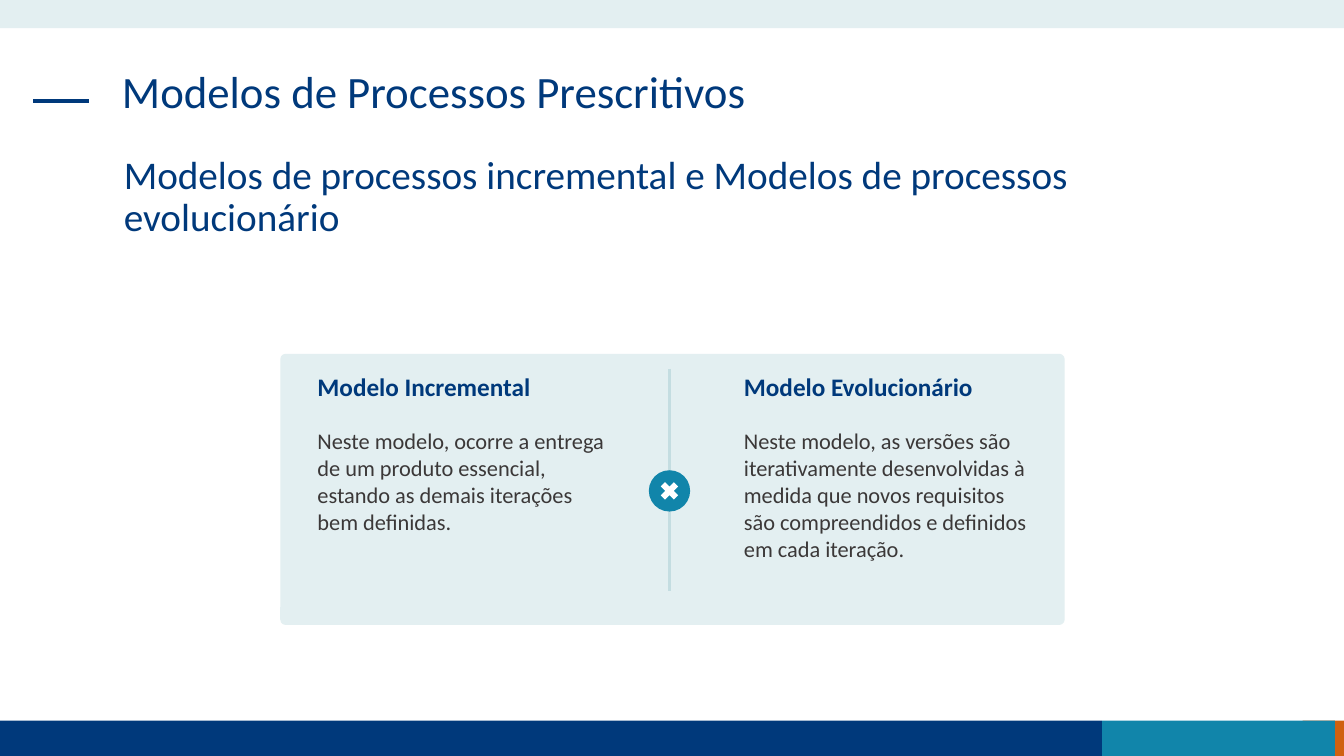
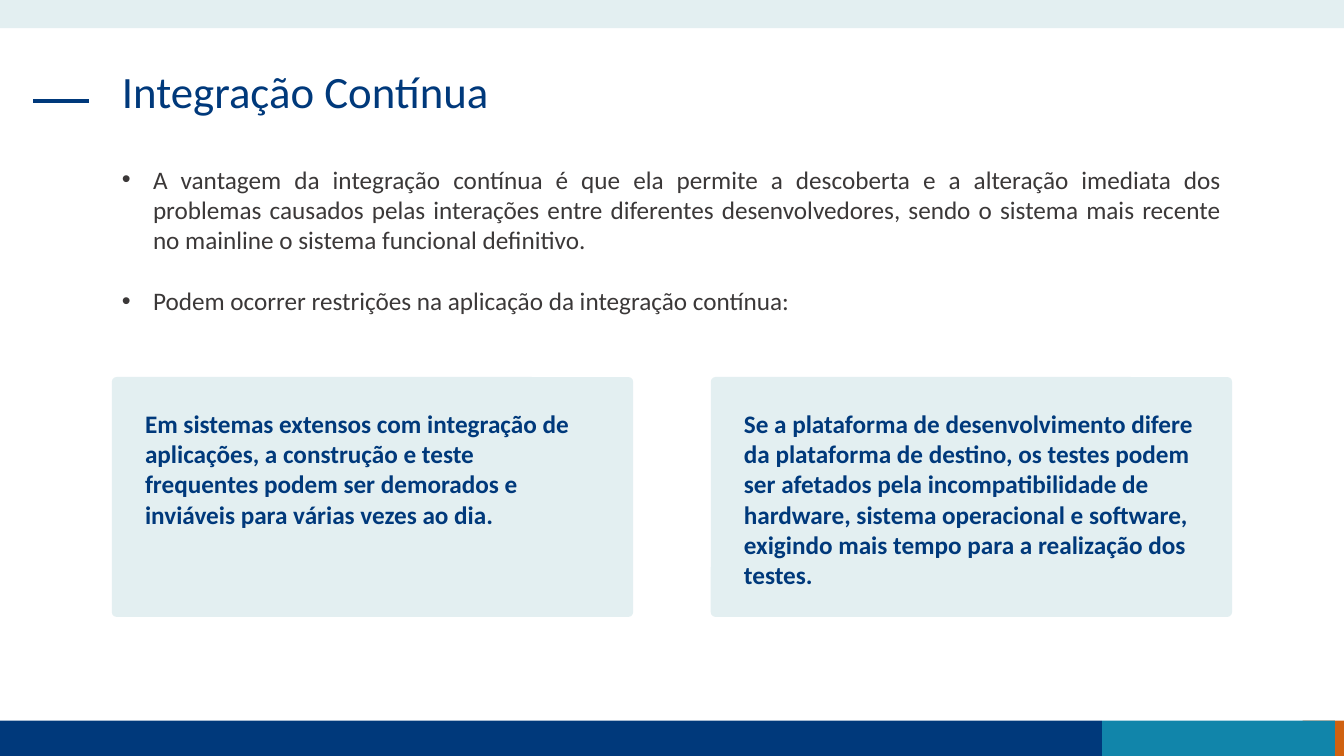
"""Build two slides on software process models and continuous integration."""
from typing import NamedTuple

from lxml import etree
from pptx import Presentation
from pptx.dml.color import RGBColor
from pptx.enum import shapes, text
from pptx.oxml import ns
from pptx.util import Inches, Pt

FONT = "Calibri"
NAVY, TEAL, ORANGE = "00397B", "1185AA", "D06110"
PALE, RULE, INK, WHITE = "E3EFF1", "C4DDE1", "3B3838", "FFFFFF"
SHAPE = shapes.MSO_SHAPE


class Box(NamedTuple):
    """Position and size in inches."""
    left: float
    top: float
    width: float
    height: float

    def lengths(self):
        """Return the four values as lengths."""
        return [Inches(v) for v in self]


class Style(NamedTuple):
    """Look of a paragraph."""
    size: float
    color: str
    bold: bool = False
    spacing: float = 1.0


class Card(NamedTuple):
    """Text of a card and the left edge of its column."""
    left: float
    width: float
    body: str
    heading: str = ""


TITLE = Style(32, NAVY, spacing=0.9)
SUBTITLE = Style(28, NAVY, spacing=0.9)
HEADING = Style(18, NAVY, bold=True)
BODY = Style(16, INK)
BULLET = Style(18, INK)

BANDS = [
    (Box(12.92, 7.15, 0.41, 0.35), ORANGE),
    (Box(0, 7.15, 10.93, 0.35), NAVY),
    (Box(10.93, 7.15, 2.31, 0.35), TEAL),
    (Box(0, 0, 13.33, 0.28), PALE),
]
MODELS = [
    Card(3.05, 3.12, "Neste modelo, ocorre a entrega de um produto essencial, estando "
         "as demais iterações bem definidas.", "Modelo Incremental"),
    Card(7.28, 3.12, "Neste modelo, as versões são iterativamente desenvolvidas à medida "
         "que novos requisitos são compreendidos e definidos em cada iteração.",
         "Modelo Evolucionário"),
]
BULLETS = [
    "A vantagem da integração contínua é que ela permite a descoberta e a alteração "
    "imediata dos problemas causados pelas interações entre diferentes desenvolvedores, "
    "sendo o sistema mais recente no mainline o sistema funcional definitivo.",
    "Podem ocorrer restrições na aplicação da integração contínua:",
]
RESTRICTIONS = [
    Card(1.11, 4.57, "Em sistemas extensos com integração de aplicações, a construção e "
         "teste frequentes podem ser demorados e inviáveis para várias vezes ao dia."),
    Card(7.05, 4.71, "Se a plataforma de desenvolvimento difere da plataforma de destino, "
         "os testes podem ser afetados pela incompatibilidade de hardware, sistema "
         "operacional e software, exigindo mais tempo para a realização dos testes."),
]


def rgb(color: str) -> RGBColor:
    """Turn a hex string into a colour."""
    return RGBColor.from_string(color)


def add_shape(s, kind, box: Box, color: str):
    """Draw a flat preset shape without outline."""
    sp = s.shapes.add_shape(kind, *box.lengths())
    sp.shadow.inherit = False
    sp.fill.solid()
    sp.fill.fore_color.rgb = rgb(color)
    sp.line.fill.background()
    return sp


def add_panel(s, box: Box) -> None:
    """Draw a pale panel with slightly rounded corners."""
    add_shape(s, SHAPE.ROUNDED_RECTANGLE, box, PALE).adjustments[0] = 0.02


def add_line(s, start: tuple, end: tuple, color: str, width: float) -> None:
    """Draw a straight line between two points in inches."""
    line = s.shapes.add_connector(
        shapes.MSO_CONNECTOR.STRAIGHT, *[Inches(v) for v in start + end])
    line.line.color.rgb = rgb(color)
    line.line.width = Pt(width)
    etree.SubElement(line._element.spPr, ns.qn("a:effectLst"))


def format_paragraph(p, style: Style) -> None:
    """Apply a style to a paragraph."""
    p.line_spacing = style.spacing
    p.font.name = FONT
    p.font.size = Pt(style.size)
    p.font.bold = style.bold
    p.font.color.rgb = rgb(style.color)


def add_text(s, box: Box, content: str, style: Style) -> None:
    """Add a wrapped text box with one paragraph."""
    tf = s.shapes.add_textbox(*box.lengths()).text_frame
    tf.word_wrap = True
    p = tf.paragraphs[0]
    p.text = content
    format_paragraph(p, style)


def add_bullets(s, box: Box, items: list[str]) -> None:
    """Add a justified bullet list centred vertically in its box."""
    tf = s.shapes.add_textbox(*box.lengths()).text_frame
    tf.word_wrap = True
    tf.vertical_anchor = text.MSO_ANCHOR.MIDDLE
    for i, item in enumerate(items):
        p = tf.add_paragraph() if i else tf.paragraphs[0]
        p.text = item
        p_pr = p._p.get_or_add_pPr()
        p_pr.set("marL", str(Inches(0.31)))
        p_pr.set("indent", str(Inches(-0.31)))
        etree.SubElement(p_pr, ns.qn("a:buFont"), typeface="Arial")
        etree.SubElement(p_pr, ns.qn("a:buChar"), char="•")
        p.alignment = text.PP_ALIGN.JUSTIFY
        p.space_before = Pt(22 if i else 0)
        format_paragraph(p, BULLET)


def add_slide(prs, title: str):
    """Add a slide with the shared bands, dash and title."""
    s = prs.slides.add_slide(prs.slide_layouts[5])
    for box, color in BANDS:
        add_shape(s, SHAPE.RECTANGLE, box, color)
    add_line(s, (0.33, 1), (0.88, 1), NAVY, 3)
    sp = s.shapes.title
    sp.left, sp.top, sp.width, sp.height = Box(1.11, 0.64, 11.1, 0.94).lengths()
    tf = sp.text_frame
    tf.auto_size = text.MSO_AUTO_SIZE.NONE
    tf.vertical_anchor = text.MSO_ANCHOR.TOP
    p = tf.paragraphs[0]
    p.text = title
    p.alignment = text.PP_ALIGN.LEFT
    format_paragraph(p, TITLE)
    return s


def build_models(prs) -> None:
    """Compare the incremental and evolutionary models."""
    s = add_slide(prs, "Modelos de Processos Prescritivos")
    add_text(s, Box(1.13, 1.49, 11.39, 0.59),
             "Modelos de processos incremental e Modelos de processos evolucionário", SUBTITLE)
    add_panel(s, Box(2.78, 3.51, 7.78, 2.69))
    for card in MODELS:
        add_text(s, Box(card.left, 3.63, card.width, 0.31), card.heading, HEADING)
        add_text(s, Box(card.left, 4.19, card.width, 1.45), card.body, BODY)
    center_x, center_y = 6.64, 4.87
    add_line(s, (center_x, 3.66), (center_x, 5.86), RULE, 1.5)
    for kind, size, color in [(SHAPE.OVAL, 0.41, TEAL), (SHAPE.MATH_MULTIPLY, 0.25, WHITE)]:
        add_shape(s, kind, Box(center_x - size / 2, center_y - size / 2, size, size), color)


def build_integration(prs) -> None:
    """Present continuous integration and its restrictions."""
    s = add_slide(prs, "Integração Contínua")
    add_bullets(s, Box(1.11, 1.57, 11.1, 1.62), BULLETS)
    for card in RESTRICTIONS:
        add_panel(s, Box(card.left, 3.74, 5.17, 2.38))
        add_text(s, Box(card.left + 0.23, 4, card.width, 1.92), card.body, HEADING)


def main() -> None:
    """Build and save the presentation."""
    prs = Presentation()
    prs.slide_width, prs.slide_height = Inches(13.33), Inches(7.5)
    build_models(prs)
    build_integration(prs)
    prs.save("out.pptx")


if __name__ == "__main__":
    main()
